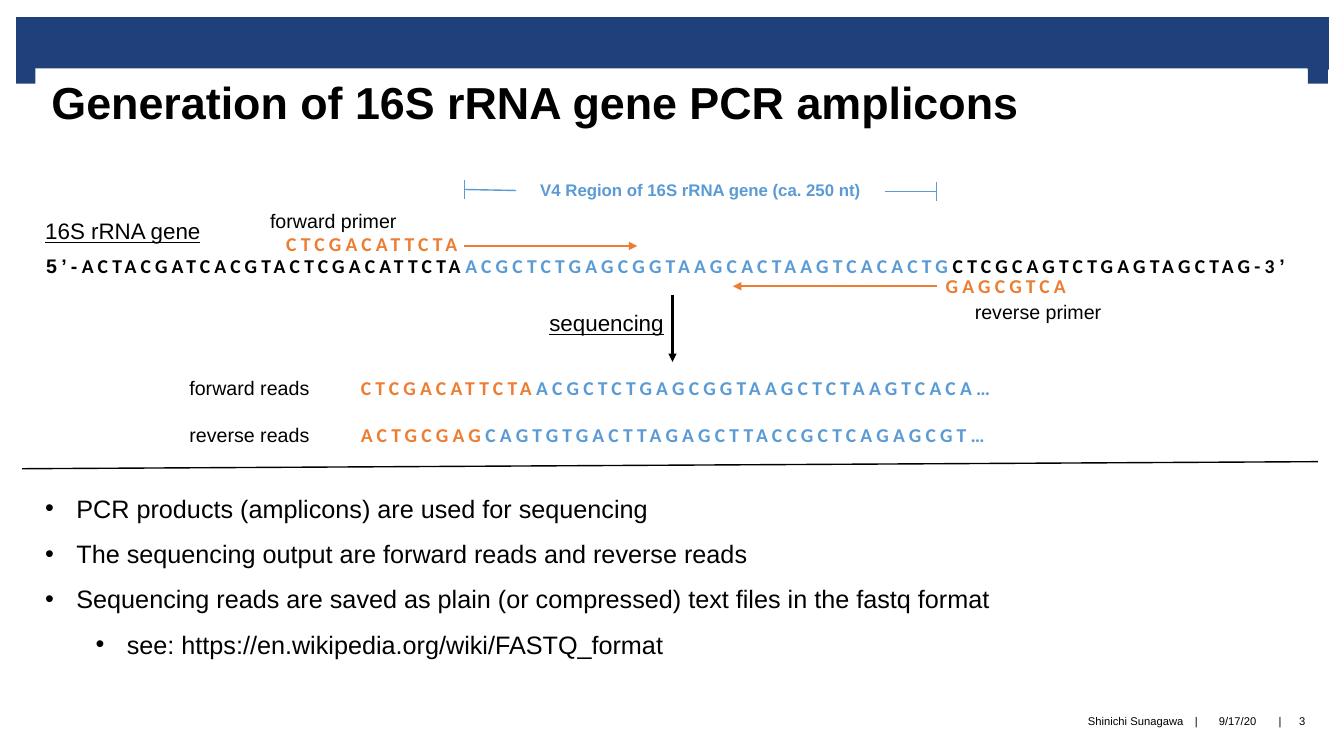
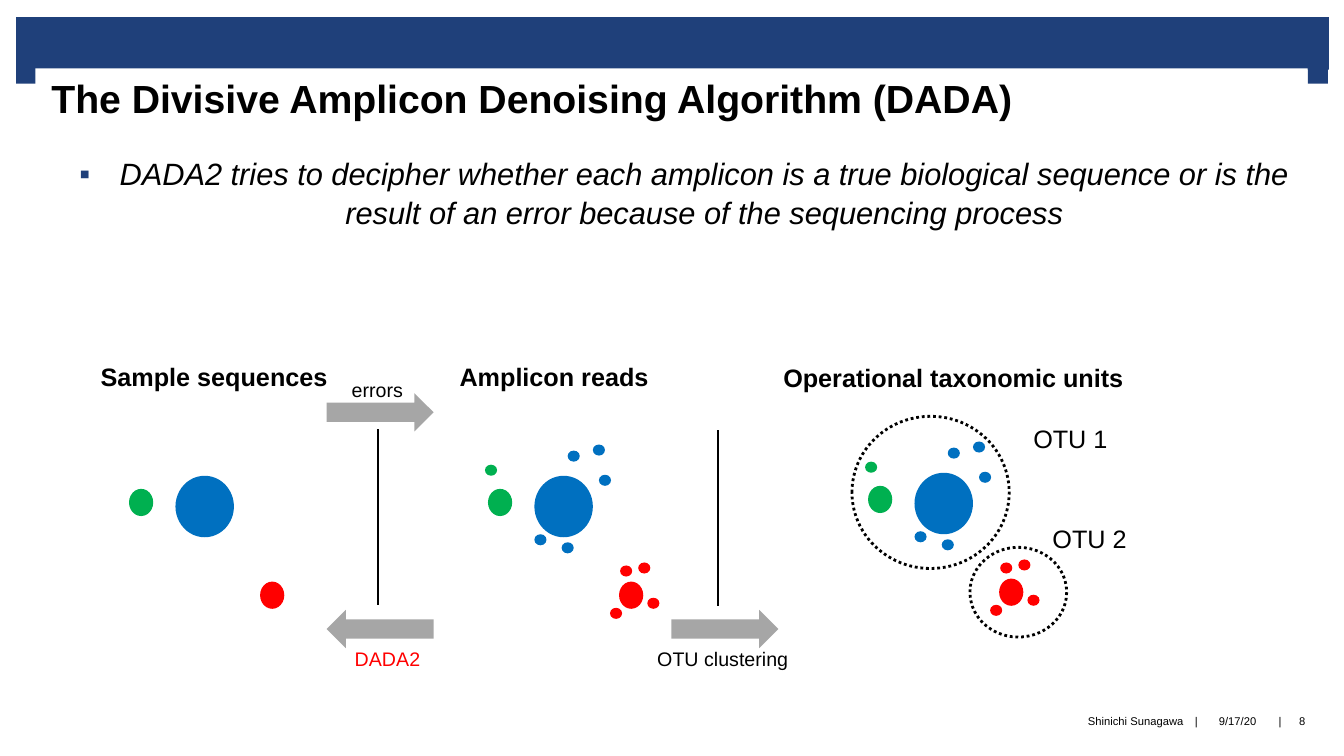
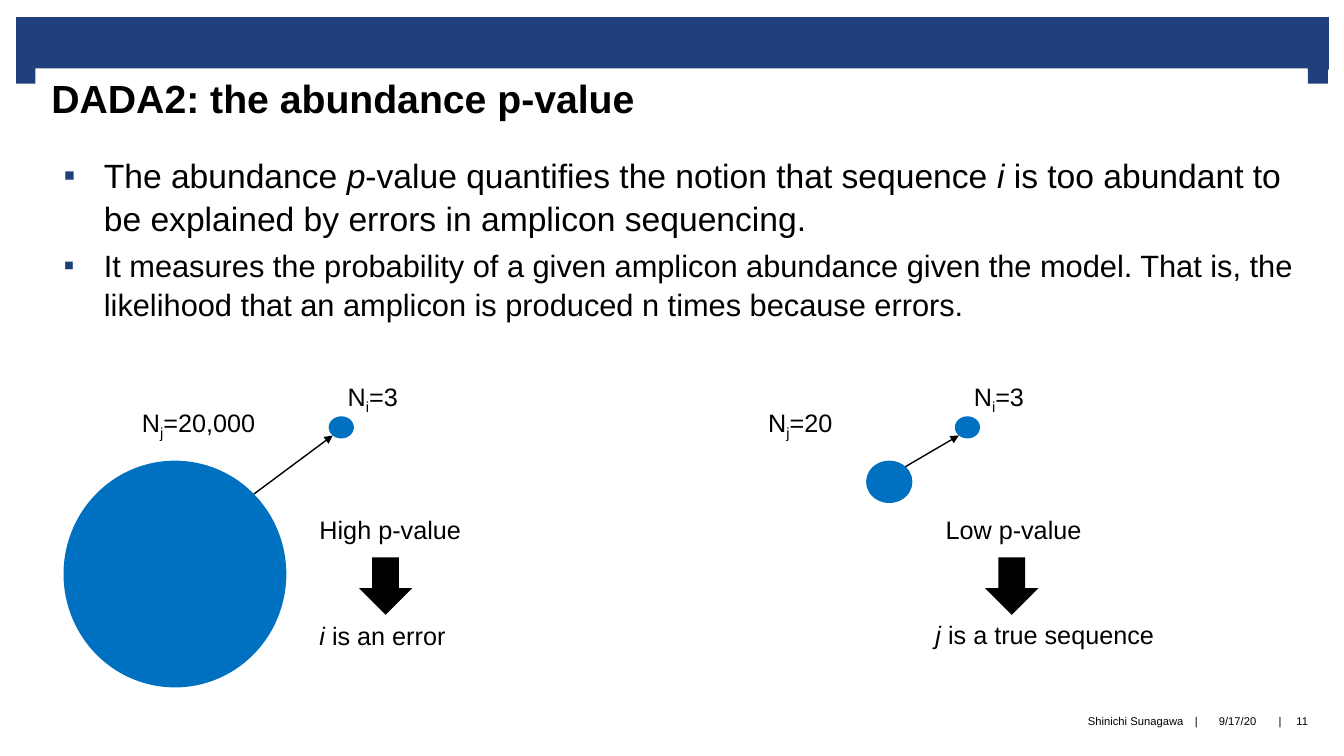
"""Build three slides on 16S amplicon sequencing and the DADA2 algorithm."""
from lxml.etree import SubElement
from pptx import Presentation
from pptx.dml.color import RGBColor
from pptx.enum.dml import MSO_LINE
from pptx.enum.shapes import MSO_CONNECTOR, MSO_SHAPE
from pptx.enum.text import MSO_ANCHOR, MSO_AUTO_SIZE, PP_ALIGN
from pptx.oxml.ns import qn
from pptx.util import Inches, Pt

NAVY, BLACK, WHITE, GRAY = "1F407A", "000000", "FFFFFF", "A6A6A6"
ORANGE, SKY = "ED7D31", "5B9BD5"
GREEN, BLUE, RED = "00B050", "0070C0", "FF0000"
SEQUENCE = {"size": Pt(14), "name": "Calibri", "bold": True, "spc": 300}
PRIMER = {**SEQUENCE, "color": ORANGE}
REGION = {**SEQUENCE, "color": SKY}
ITALIC = {"italic": True}
SUBSCRIPT = {"baseline": -25000}


def add_text(slide, box, paragraphs, size=14, wrap=True, grow=True, align=PP_ALIGN.LEFT,
             insets=(0.1, 0.05, 0.1, 0.05), anchor=MSO_ANCHOR.TOP, **base):
    """Add a text box; a paragraph is a string or a list of (text, format) runs."""
    shape = slide.shapes.add_textbox(*map(Inches, box))
    frame = shape.text_frame
    sides = ("margin_left", "margin_top", "margin_right", "margin_bottom")
    settings = {
        "word_wrap": wrap,
        "vertical_anchor": anchor,
        "auto_size": MSO_AUTO_SIZE.SHAPE_TO_FIT_TEXT if grow else MSO_AUTO_SIZE.NONE,
        **dict(zip(sides, map(Inches, insets))),
    }
    for name, value in settings.items():
        setattr(frame, name, value)
    for index, runs in enumerate(paragraphs):
        paragraph = frame.add_paragraph() if index else frame.paragraphs[0]
        paragraph.alignment = align
        for text, extra in [(runs, {})] if isinstance(runs, str) else runs:
            run = paragraph.add_run()
            run.text = text
            formats = {"name": "Arial", "size": Pt(size), "color": BLACK, **base, **extra}
            for name, value in formats.items():
                if name == "color":
                    run.font.color.rgb = RGBColor.from_string(value)
                elif name in ("spc", "baseline"):
                    run.font._element.set(name, str(value))
                else:
                    setattr(run.font, name, value)
    return shape


def add_shape(slide, kind, box, fill=None):
    """Add a flat preset shape without an outline."""
    shape = slide.shapes.add_shape(kind, *map(Inches, box))
    shape.shadow.inherit = False
    shape.line.fill.background()
    if fill:
        shape.fill.solid()
        shape.fill.fore_color.rgb = RGBColor.from_string(fill)
    else:
        shape.fill.background()
    return shape


presentation = Presentation()
presentation.slide_width, presentation.slide_height = Inches(13.33), Inches(7.5)

slides = []
for title, size, number in [
    ("Generation of 16S rRNA gene PCR amplicons", 32, "3"),
    ("The Divisive Amplicon Denoising Algorithm (DADA)", 28, "8"),
    ("DADA2: the abundance p-value", 28, "11"),
]:
    slide = presentation.slides.add_slide(presentation.slide_layouts[6])
    slides.append(slide)
    for box in [(0.16, 0.17, 13.02, 0.52), (0.16, 0.65, 0.2, 0.18), (12.97, 0.65, 0.2, 0.18)]:
        add_shape(slide, MSO_SHAPE.RECTANGLE, box, NAVY)
    heading = add_text(slide, (0.35, 0.68, 12.62, 0.67), [title], size, grow=False,
                       insets=(0.16, 0.06, 0.16, 0), bold=True)
    heading.fill.solid()
    heading.fill.fore_color.rgb = RGBColor.from_string(WHITE)
    for text, left, width, align in [
        ("Shinichi Sunagawa", 6.67, 5.07, PP_ALIGN.RIGHT),
        ("|", 11.79, 0.15, PP_ALIGN.CENTER),
        ("9/17/20", 11.94, 0.67, PP_ALIGN.CENTER),
        ("|", 12.62, 0.15, PP_ALIGN.CENTER),
        (number, 12.72, 0.39, PP_ALIGN.CENTER),
    ]:
        add_text(slide, (left, 6.9, width, 0.5), [text], 8, grow=False, align=align,
                 insets=(0, 0, 0, 0), anchor=MSO_ANCHOR.MIDDLE)
amplicon_slide, denoising_slide, abundance_slide = slides

HEADING = {"size": Pt(16), "underline": True}
for left, top, width, height, runs in [
    (0.35, 2.11, 2.72, 0.37, [("16S rRNA gene", HEADING)]),
    (5.35, 3.02, 2.72, 0.37, [("sequencing", HEADING)]),
    (2.58, 2.02, 1.8, 0.34, "forward primer"),
    (9.57, 2.93, 1.8, 0.34, "reverse primer"),
    (1.78, 3.68, 2.33, 0.34, "forward reads"),
    (1.78, 4.15, 2.33, 0.34, "reverse reads"),
    (2.74, 2.25, 1.95, 0.34, [("CTCGACATTCTA", PRIMER)]),
    (9.28, 2.67, 1.51, 0.34, [("GAGCGTCA", PRIMER)]),
    (3.48, 3.68, 6.82, 0.34,
     [("CTCGACATTCTA", PRIMER), ("ACGCTCTGAGCGGTAAGCTCTAAGTCACA…", REGION)]),
    (3.48, 4.15, 6.82, 0.34,
     [("ACTGCGAG", PRIMER), ("CAGTGTGACTTAGAGCTTACCGCTCAGAGCGT…", REGION)]),
    (5.26, 1.73, 4.43, 0.3,
     [("V4 Region of 16S rRNA gene (ca. 250 nt)", {"size": Pt(12), "bold": True, "color": SKY})]),
]:
    add_text(amplicon_slide, (left, top, width, height), [runs])
gene = [
    ("5’-", {**SEQUENCE, "name": "Arial"}),
    ("ACTACGATCACGTACTCGACATTCTA", SEQUENCE),
    ("ACGCTCTGAGCGGTAAGCACTAAGTCACACTG", REGION),
    ("CTCGCAGTCTGAGTAGCTAG-3", SEQUENCE),
    ("’", {**SEQUENCE, "name": "Arial"}),
]
add_text(amplicon_slide, (0.36, 2.47, 12.58, 0.34), [gene], wrap=False)
summary = add_text(amplicon_slide, (0.35, 4.69, 9.66, 2.37), [
    "PCR products (amplicons) are used for sequencing",
    "The sequencing output are forward reads and reverse reads",
    "Sequencing reads are saved as plain (or compressed) text files in the fastq format",
    "see: https://en.wikipedia.org/wiki/FASTQ_format",
], 18, wrap=False)
summary.text_frame.paragraphs[3].level = 1

BODY = {"box": (0.48, 1.52, 12.62, 5.38), "size": 22, "grow": False, "insets": (0.15, 0, 0.16, 0)}
purpose = add_text(denoising_slide, paragraphs=[
    "DADA2 tries to decipher whether each amplicon is a true biological sequence or is the "
    "result of an error because of the sequencing process",
], align=PP_ALIGN.CENTER, italic=True, **BODY)

LARGE = {"size": Pt(24)}
LARGE_ITALIC = {**LARGE, **ITALIC}
definition = add_text(abundance_slide, paragraphs=[
    [("The abundance ", LARGE), ("p", LARGE_ITALIC),
     ("-value quantifies the notion that sequence ", LARGE), ("i", LARGE_ITALIC),
     (" is too abundant to be explained by errors in amplicon sequencing.", LARGE)],
    "It measures the probability of a given amplicon abundance given the model. That is, the "
    "likelihood that an amplicon is produced n times because errors.",
], **BODY)

for shape, character, color, indent, spacing, before in [
    (summary, "•", BLACK, 0.31, 1.5, 0),
    (purpose, "▪", NAVY, 0.4, 1.05, 5),
    (definition, "▪", NAVY, 0.4, 1.05, 5),
]:
    for index, paragraph in enumerate(shape.text_frame.paragraphs):
        properties = paragraph._p.get_or_add_pPr()
        properties.set("marL", str(Inches(indent + 0.5 * paragraph.level)))
        properties.set("indent", str(Inches(-indent)))
        SubElement(SubElement(properties, qn("a:buClr")), qn("a:srgbClr"), val=color)
        SubElement(properties, qn("a:buFont"), typeface="Arial")
        SubElement(properties, qn("a:buChar"), char=character)
        paragraph.line_spacing = spacing
        if index and before:
            paragraph.space_before = Pt(before)

sequences = [(1.28, 4.85, 0.24, 0.27, GREEN), (2.58, 5.77, 0.24, 0.27, RED),
             (1.74, 4.72, 0.58, 0.61, BLUE)]
variants = [(left, top, 0.12, 0.11, color) for left, top, color in [
    (1.25, 4.61, GREEN), (2.07, 4.47, BLUE), (2.32, 4.41, BLUE), (2.38, 4.71, BLUE),
    (2.01, 5.38, BLUE), (1.74, 5.3, BLUE), (2.59, 5.61, RED), (2.86, 5.93, RED),
    (2.77, 5.58, RED), (2.49, 6.03, RED)]]
for shift, rise, dots in [(0, 0, sequences), (3.56, 0, sequences + variants),
                          (7.33, 0.03, sequences + variants)]:
    for left, top, width, height, color in dots:
        add_shape(denoising_slide, MSO_SHAPE.OVAL, (left + shift, top - rise, width, height), color)
for box in [(8.45, 4.13, 1.56, 1.51), (9.62, 5.43, 0.96, 0.89)]:
    cluster = add_shape(denoising_slide, MSO_SHAPE.OVAL, box)
    cluster.line.color.rgb = RGBColor.from_string(BLACK)
    cluster.line.width = Pt(2)
    cluster.line.dash_style = MSO_LINE.ROUND_DOT
for left, top, rotation in [(3.24, 3.9, 0), (3.24, 6.05, 180), (6.66, 6.05, 0)]:
    arrow = add_shape(denoising_slide, MSO_SHAPE.RIGHT_ARROW, (left, top, 1.06, 0.38), GRAY)
    arrow.rotation = rotation
for text, left, top, width, size, bold, color in [
    ("OTU 1", 10.15, 4.15, 0.95, 18, False, BLACK),
    ("OTU 2", 10.34, 5.14, 0.95, 18, False, BLACK),
    ("Sample sequences", 0.9, 3.54, 2.47, 18, True, BLACK),
    ("Amplicon reads", 4.46, 3.54, 2.1, 18, True, BLACK),
    ("Operational taxonomic units", 7.67, 3.55, 3.61, 18, True, BLACK),
    ("errors", 3.39, 3.7, 0.71, 14, False, BLACK),
    ("DADA2", 3.42, 6.37, 0.86, 14, False, RED),
    ("OTU clustering", 6.42, 6.37, 1.51, 14, False, BLACK),
]:
    add_text(denoising_slide, (left, top, width, 0.4 if size == 18 else 0.34), [text], size,
             wrap=False, bold=bold, color=color)

for shift, parent, count, count_width, level, level_width, letter, verdict, verdict_box in [
    (0, (0.63, 4.57, 2.21, 2.25), "=20,000", 1.34, "High p-value", 1.62,
     "i", " is an error", (3.07, 6.1, 1.46, 0.4)),
    (6.21, (8.59, 4.57, 0.46, 0.42), "=20", 0.85, "Low p-value", 1.56,
     "j", " is a true sequence", (9.18, 6.09, 2.39, 0.4)),
]:
    add_shape(abundance_slide, MSO_SHAPE.OVAL, parent, BLUE)
    add_shape(abundance_slide, MSO_SHAPE.OVAL, (3.26 + shift, 4.13, 0.25, 0.22), BLUE)
    add_shape(abundance_slide, MSO_SHAPE.DOWN_ARROW, (3.56 + shift, 5.53, 0.53, 0.57), BLACK)
    for box, runs in [
        ((1.31 + shift, 3.99, count_width, 0.4), [("N", {}), ("j", SUBSCRIPT), (count, {})]),
        ((3.35 + shift, 3.73, 0.71, 0.4), [("N", {}), ("i", SUBSCRIPT), ("=3", {})]),
        ((3.07 + shift, 5.05, level_width, 0.4), level),
        (verdict_box, [(letter, ITALIC), (verdict, {})]),
    ]:
        add_text(abundance_slide, box, [runs], 18, wrap=False)

for slide, points, color, width, arrowhead in [
    (amplicon_slide, (4.6, 2.44, 6.32, 2.44), ORANGE, 1.5, True),
    (amplicon_slide, (9.29, 2.84, 7.27, 2.84), ORANGE, 1.5, True),
    (amplicon_slide, (6.67, 2.93, 6.67, 3.59), BLACK, 1.5, True),
    (amplicon_slide, (9.29, 1.81, 9.29, 1.99), SKY, 1, False),
    (amplicon_slide, (9.29, 1.9, 8.78, 1.9), SKY, 1, False),
    (amplicon_slide, (4.61, 1.79, 4.61, 1.97), SKY, 1, False),
    (amplicon_slide, (4.61, 1.88, 5.12, 1.89), SKY, 1, False),
    (amplicon_slide, (0.22, 4.65, 13.07, 4.58), BLACK, 1, False),
    (denoising_slide, (3.75, 4.26, 3.75, 6), BLACK, 1, False),
    (denoising_slide, (7.12, 4.27, 7.12, 6.01), BLACK, 1, False),
    (abundance_slide, (2.52, 4.9, 3.3, 4.32), BLACK, 1, True),
    (abundance_slide, (8.98, 4.63, 9.51, 4.32), BLACK, 1, True),
]:
    connector = slide.shapes.add_connector(MSO_CONNECTOR.STRAIGHT, *map(Inches, points))
    connector.line.color.rgb = RGBColor.from_string(color)
    connector.line.width = Pt(width)
    properties = connector._element.spPr
    if arrowhead:
        SubElement(properties.find(qn("a:ln")), qn("a:tailEnd"), type="triangle")
    SubElement(properties, qn("a:effectLst"))

presentation.save("out.pptx")
